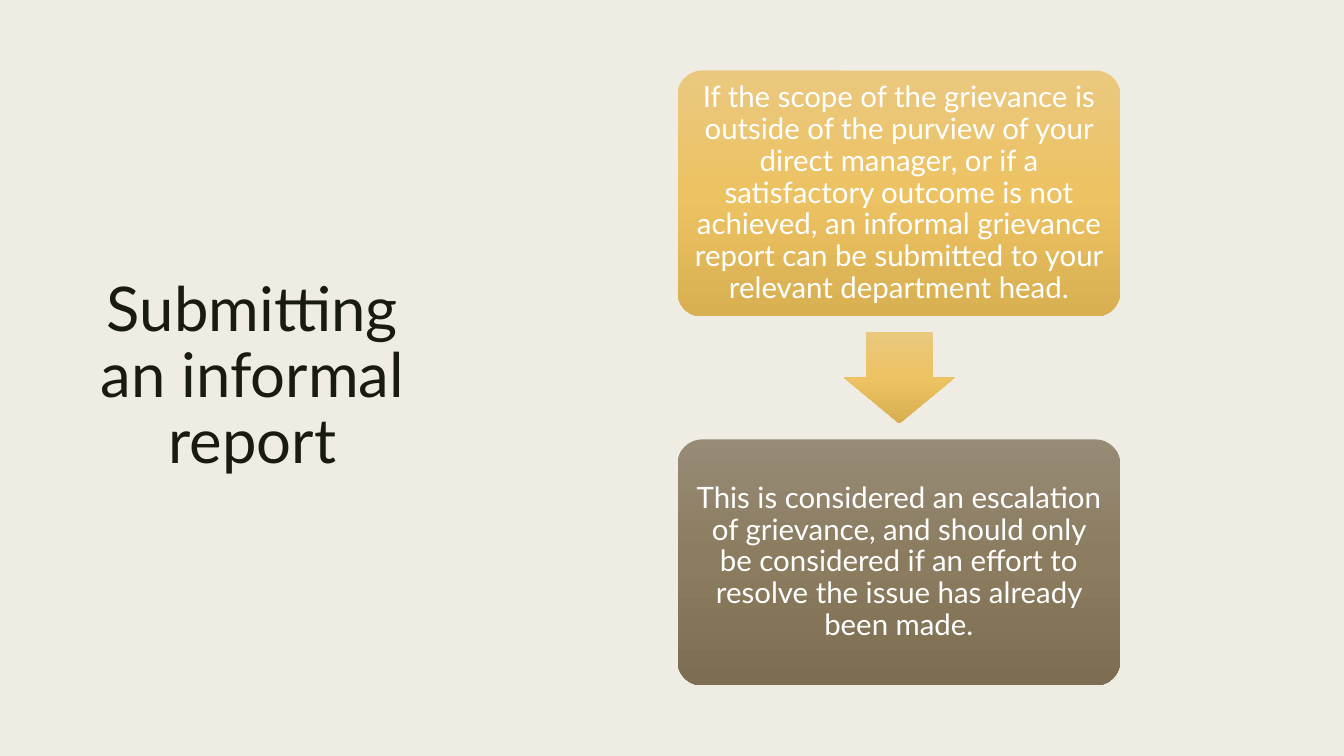
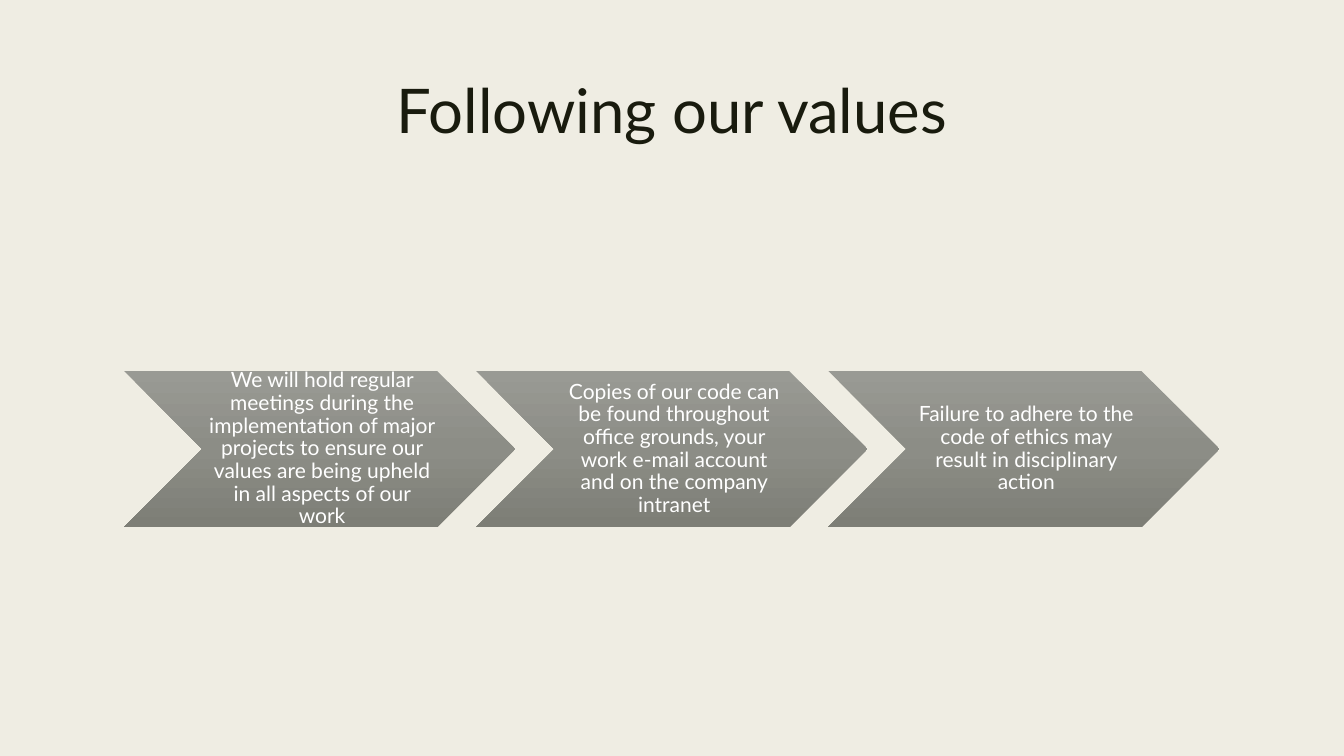
"""Build two slides on grievance reports and company values."""
from copy import deepcopy
from dataclasses import dataclass

from pptx import Presentation
from pptx.dml.color import RGBColor
from pptx.enum import shapes, text
from pptx.oxml.ns import qn
from pptx.util import Inches, Pt

FONT = "Lato"
COLORS = {"page": "EFEDE3", "title": "191B0E", "label": "FFFFFF"}
GRADIENTS = {
    "gold": ("EAC87E", "ECC263", "D9B051"),
    "brown": ("978B76", "8B7C5F", "7D6E53"),
    "grey": ("999A94", "8C8D86", "7D7E76"),
}
KIND = shapes.MSO_SHAPE


@dataclass(frozen=True)
class Frame:
    left: float
    top: float
    width: float
    height: float

    def lengths(self) -> tuple:
        return tuple(Inches(n) for n in (self.left, self.top, self.width, self.height))


@dataclass(frozen=True)
class Block:
    kind: KIND
    frame: Frame
    gradient: str
    adjustments: tuple[float, ...]
    label: str = ""
    size: float = 0
    insets: tuple[float, ...] = (0, 0, 0, 0)


def write(shape, words: str, size: float, color: str, spacing: float, anchor) -> None:
    box = shape.text_frame
    box.word_wrap = True
    box.auto_size = text.MSO_AUTO_SIZE.NONE
    box.vertical_anchor = anchor
    para = box.paragraphs[0]
    para.alignment = text.PP_ALIGN.CENTER
    para.line_spacing = spacing
    span = para.add_run()
    span.text = words
    span.font.name = FONT
    span.font.size = Pt(size)
    span.font.color.rgb = RGBColor.from_string(COLORS[color])


def paint(shape, gradient: str) -> None:
    shape.fill.gradient()
    shape.fill.gradient_angle = 270
    stop_list = shape.element.find(".//" + qn("a:gsLst"))
    stop_list.append(deepcopy(stop_list[0]))
    for stop, color, position in zip(
        shape.fill.gradient_stops, GRADIENTS[gradient], (0, 0.5, 1)
    ):
        stop.color.rgb = RGBColor.from_string(color)
        stop.position = position
    shape.line.fill.background()
    shape.shadow.inherit = False


def draw_block(page, block: Block) -> None:
    shape = page.shapes.add_shape(block.kind, *block.frame.lengths())
    for index, value in enumerate(block.adjustments):
        shape.adjustments[index] = value
    paint(shape, block.gradient)
    if block.label:
        box = shape.text_frame
        box.margin_left, box.margin_top, box.margin_right, box.margin_bottom = (
            Inches(inset) for inset in block.insets
        )
        write(shape, block.label, block.size, "label", 0.9, text.MSO_ANCHOR.MIDDLE)


def add_page(deck, title: str, frame: Frame, anchor, blocks: list[Block]) -> None:
    page = deck.slides.add_slide(deck.slide_layouts.get_by_name("Title Only"))
    heading = page.shapes.title
    heading.left, heading.top, heading.width, heading.height = frame.lengths()
    write(heading, title, 44, "title", 0.89, anchor)
    for block in blocks:
        draw_block(page, block)


def report_card(top: float, gradient: str, label: str) -> Block:
    frame = Frame(6.72, top, 4.39, 2.44)
    return Block(KIND.ROUNDED_RECTANGLE, frame, gradient, (0.1,), label, 21, (0.09,) * 4)


def value_chevron(index: int, label: str) -> Block:
    width = 3.88
    frame = Frame(1.23 + index * width * 0.9, 3.68, width, 1.55)
    return Block(KIND.CHEVRON, frame, "grey", (0.5,), label, 15, (0.07, 0.02, 0.02, 0.02))


REPORT_STEPS = [
    report_card(
        0.7,
        "gold",
        "If the scope of the grievance is outside of the purview of your direct manager, "
        "or if a satisfactory outcome is not achieved, an informal grievance report can be "
        "submitted to your relevant department head.",
    ),
    Block(KIND.DOWN_ARROW, Frame(8.37, 3.29, 1.1, 0.91), "gold", (0.6, 0.5)),
    report_card(
        4.36,
        "brown",
        "This is considered an escalation of grievance, and should only be considered if "
        "an effort to resolve the issue has already been made.",
    ),
]
VALUES = (
    "We will hold regular meetings during the implementation of major projects to ensure "
    "our values are being upheld in all aspects of our work",
    "Copies of our code can be found throughout office grounds, your work e-mail account "
    "and on the company intranet",
    "Failure to adhere to the code of ethics may result in disciplinary action",
)

deck = Presentation()
deck.slide_width, deck.slide_height = Inches(13.33), Inches(7.5)
backdrop = deck.slide_master.background.fill
backdrop.solid()
backdrop.fore_color.rgb = RGBColor.from_string(COLORS["page"])

add_page(
    deck,
    "Submitting an informal report",
    Frame(0.7, 0.7, 3.61, 6.1),
    text.MSO_ANCHOR.MIDDLE,
    REPORT_STEPS,
)
add_page(
    deck,
    "Following our values",
    Frame(0.7, 0.75, 11.93, 1.62),
    text.MSO_ANCHOR.TOP,
    [value_chevron(index, label) for index, label in enumerate(VALUES)],
)
deck.save("out.pptx")
